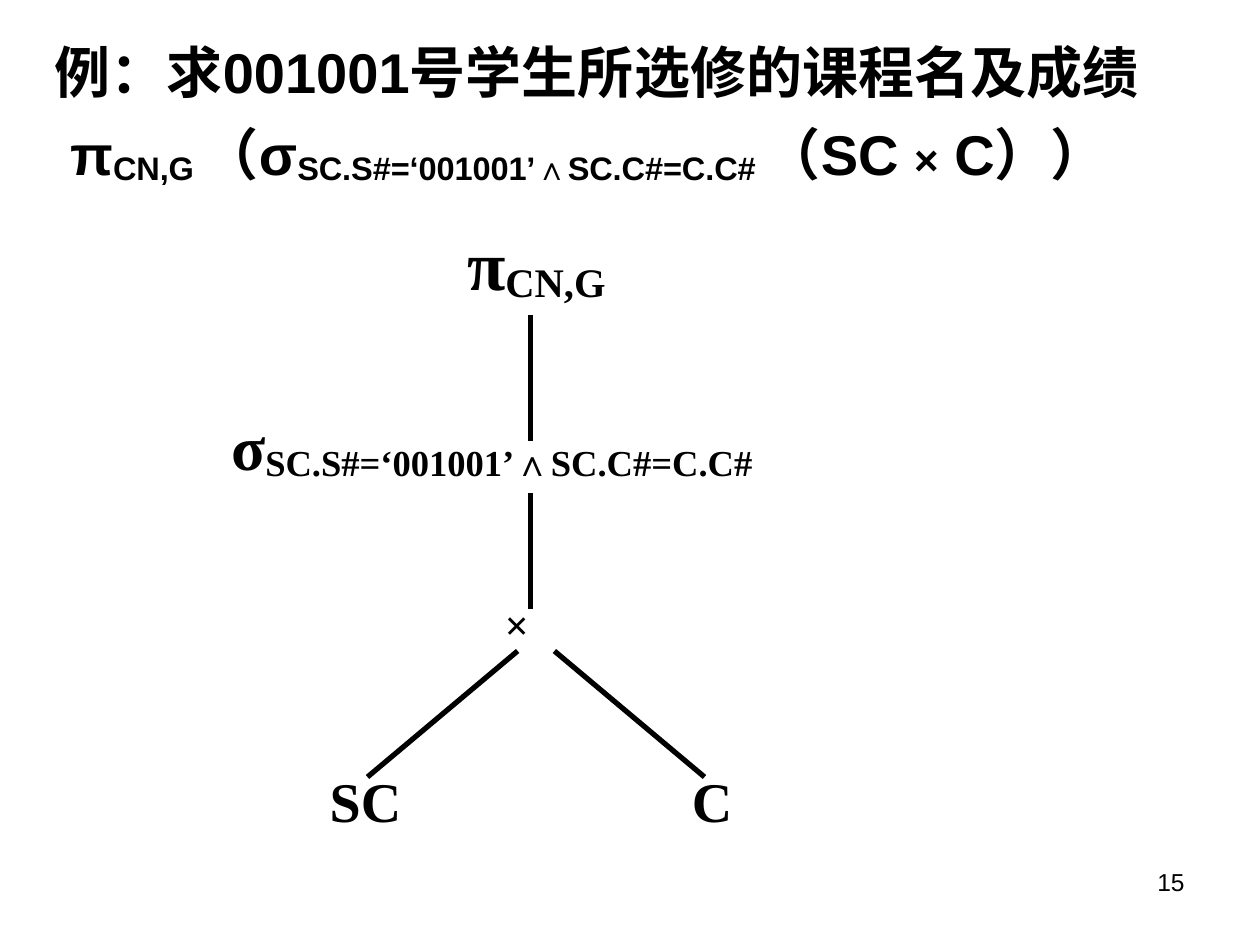
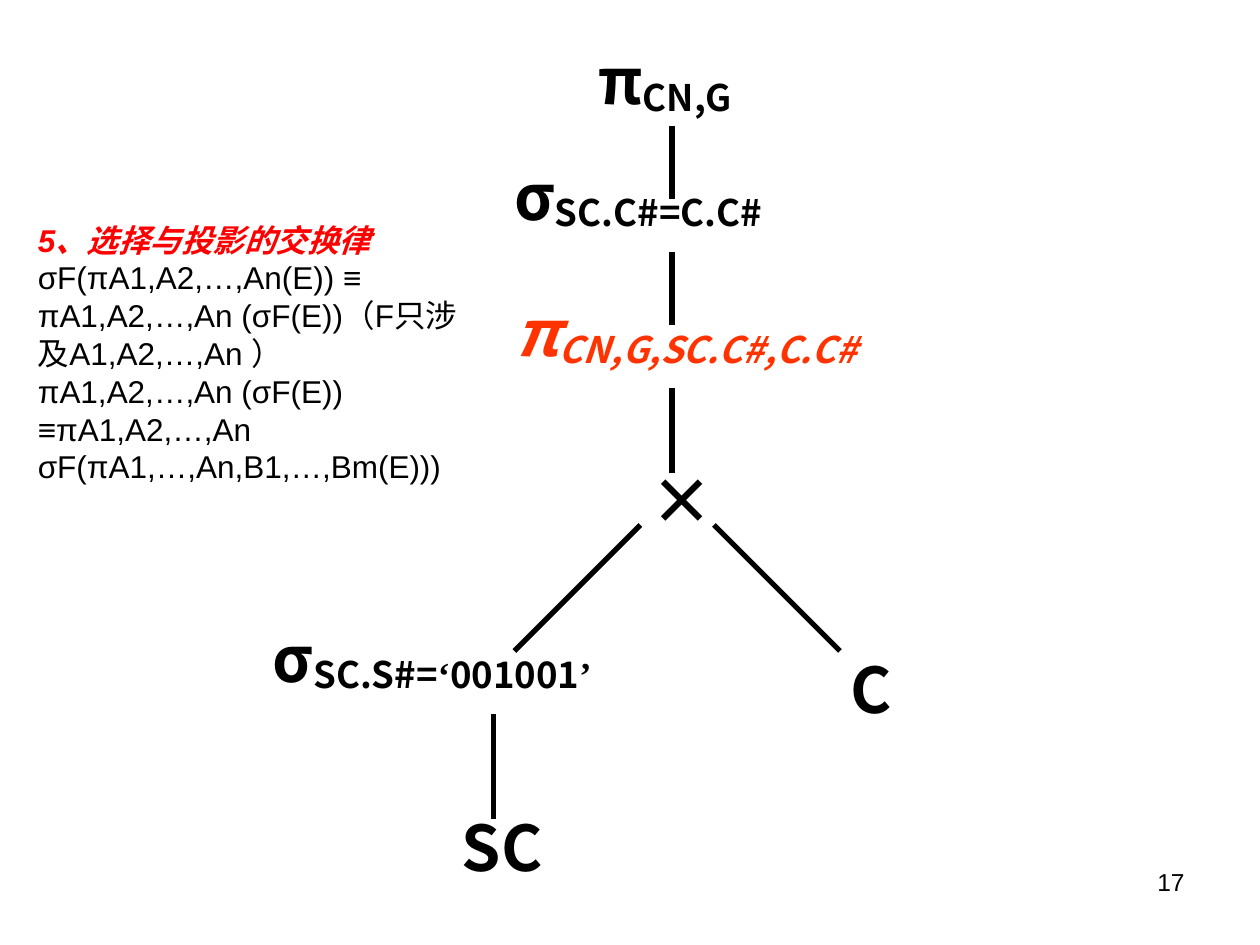
import pptx
import pptx.util
import pptx.dml.color
import pptx.enum.shapes
import pptx.enum.text
import pptx.oxml.ns
from lxml import etree

BLACK = pptx.dml.color.RGBColor(0x00, 0x00, 0x00)
RED = pptx.dml.color.RGBColor(0xFF, 0x00, 0x00)
ORANGE = pptx.dml.color.RGBColor(0xFF, 0x33, 0x00)

SANS, SERIF, CJK = "Arial", "Times New Roman", "Noto Sans CJK SC"
COLUMNS, ROWS = 120, 90
CELL = pptx.util.Inches(10) // COLUMNS
WIDTH, HEIGHT = CELL * COLUMNS, CELL * ROWS
LINE_ROWS_PER_POINT = 0.2
SUB = {"subscript": True}
TITLE_ONLY = 5


def cells(*counts):
    """Turn counts of grid cells into lengths."""
    return [pptx.util.Emu(round(count * CELL)) for count in counts]


def set_values(target, values):
    for key, value in values.items():
        setattr(target, key, value)


def add_span(para, text, style):
    """Add one run; style holds font values plus colour and subscript."""
    span = para.add_run()
    span.text = text
    font_values = {key: value for key, value in style.items()
                   if key not in ("colour", "subscript")}
    set_values(span.font, font_values)
    span.font.color.rgb = style.get("colour", BLACK)
    properties = span.font._element
    if style.get("subscript"):
        properties.set("baseline", "-10000")
    east_asian = etree.Element(pptx.oxml.ns.qn("a:ea"), typeface=CJK)
    properties.find(pptx.oxml.ns.qn("a:latin")).addnext(east_asian)


def fill_para(para, spans, style):
    for text, changes in spans:
        add_span(para, text, {**style, **changes})


def set_frame(box, inset_x=0, inset_y=0):
    set_values(box.text_frame, {
        "word_wrap": True,
        "auto_size": pptx.enum.text.MSO_AUTO_SIZE.NONE,
        "vertical_anchor": pptx.enum.text.MSO_ANCHOR.TOP,
        "margin_left": inset_x, "margin_right": inset_x,
        "margin_top": inset_y, "margin_bottom": inset_y})


def place_title(page, area, paragraphs, style, space=0, hanging=0):
    """Move the title placeholder to the area and write its paragraphs."""
    box = page.shapes.title
    set_values(box, dict(zip(("left", "top", "width", "height"), cells(*area))))
    set_frame(box, *cells(1.2, 0.6))
    for number, spans in enumerate(paragraphs):
        para = box.text_frame.add_paragraph() if number else box.text_frame.paragraphs[0]
        para.alignment = pptx.enum.text.PP_ALIGN.LEFT
        para.space_before = pptx.util.Pt(space if number else 0)
        if hanging:
            indent = cells(hanging)[0]
            para._p.get_or_add_pPr().set("marL", str(indent))
            para._p.get_or_add_pPr().set("indent", str(-indent))
        fill_para(para, spans, style)


def place_page_number(page, number):
    box = page.shapes.add_textbox(*cells(86, 82, 28, 6.25))
    set_frame(box, *cells(1.2, 0.6))
    para = box.text_frame.paragraphs[0]
    para.alignment = pptx.enum.text.PP_ALIGN.RIGHT
    fill_para(para, [(str(number), {})], {"name": SANS, "size": pptx.util.Pt(14)})


def draw_tree(page, origin, font_name, nodes, edges):
    """Draw an operator tree; nodes and edges are in cells from the origin."""
    left, top = origin
    tree = page.shapes.add_group_shape()
    for column, row, width, points, spans in nodes:
        box = tree.shapes.add_textbox(*cells(
            left + column, top + row, width, points * LINE_ROWS_PER_POINT))
        set_frame(box)
        fill_para(box.text_frame.paragraphs[0], spans, {
            "name": font_name, "size": pptx.util.Pt(points), "bold": True})
    for start_x, start_y, end_x, end_y in edges:
        edge = tree.shapes.add_connector(
            pptx.enum.shapes.MSO_CONNECTOR.STRAIGHT,
            *cells(left + start_x, top + start_y, left + end_x, top + end_y))
        edge.line.color.rgb = BLACK
        edge.line.width = pptx.util.Pt(3)
        etree.SubElement(edge._element.spPr, pptx.oxml.ns.qn("a:effectLst"))


def build_query_page(page):
    # Query and its relational algebra expression
    place_title(page, (4, 3, 111, 16), [
        [("例：求001001号学生所选修的课程名及成绩", {})],
        [(" π", {}), ("CN,G ", SUB), ("（σ", {}),
         ("SC.S#=‘001001’∧SC.C#=C.C# ", SUB), ("（SC ", {}),
         ("×", {"size": pptx.util.Pt(24)}), (" C））", {})],
    ], {"name": SANS, "size": pptx.util.Pt(32), "bold": True}, space=8, hanging=4.5)

    # Initial query tree
    trunk, label = 28.5, 21.4
    nodes = [
        (22.5, 0, label, 40, [("π", {}), ("CN,G", SUB)]),
        (0, 17.8, 70, 36, [("σ", {}), ("SC.S#=‘001001’∧SC.C#=C.C#", SUB)]),
        (9.4, 52, label, 32, [("SC", {})]),
        (43.9, 52, label, 32, [("C", {})]),
        (26.1, 36, label, 24, [("×", {})]),
    ]
    edges = [(trunk, start, trunk, end) for start, end in ((9, 21), (26, 37))]
    edges += [(27.3, 41, 13, 53), (30.8, 41, 45.1, 53)]
    draw_tree(page, (22, 21), SERIF, nodes, edges)


def build_exchange_page(page):
    # Rule for exchanging selection and projection
    place_title(page, (2.4, 20.4, 44.9, 26.4), [
        [("5、选择与投影的交换律", {"colour": RED, "bold": True, "italic": True})],
        [("σF(πA1,A2,…,An(E)) ≡ πA1,A2,…,An (σF(E))（F只涉及A1,A2,…,An ）", {})],
        [("πA1,A2,…,An (σF(E)) ≡πA1,A2,…,An σF(πA1,…,An,B1,…,Bm(E)))", {})],
    ], {"name": SANS, "size": pptx.util.Pt(18), "bold": False})

    # Tree with the added projection
    trunk, points = 38, 36
    added = {"colour": ORANGE, "italic": True}
    quote = {**SUB, "name": SERIF}
    labels = [
        (31, 0, 18, [("π", {}), ("CN,G", SUB)]),
        (23, 11, 33, [("σ", {}), ("SC.C#=C.C#", SUB)]),
        (18, 73, 10, [("SC", {})]),
        (55, 58, 9, [("C", {})]),
        (36, 40, 8, [("×", {})]),
        (0, 55, 43, [("σ", {}), ("SC.S#=", SUB), ("‘", quote),
                     ("001001", SUB), ("’", quote)]),
        (23, 24, 41, [("π", added), ("CN,G,SC.C#,C.C#", {**added, **SUB})]),
    ]
    nodes = [(column, row, width, points, spans)
             for column, row, width, spans in labels]
    edges = [(trunk, start, trunk, end) for start, end in ((8, 15), (20, 27), (33, 41))]
    edges += [(35, 46, 23, 58), (42, 46, 54, 58), (21, 64, 21, 74)]
    draw_tree(page, (26, 4), CJK, nodes, edges)


def main():
    deck = pptx.Presentation()
    deck.slide_width, deck.slide_height = WIDTH, HEIGHT
    for number, build in ((15, build_query_page), (17, build_exchange_page)):
        page = deck.slides.add_slide(deck.slide_layouts[TITLE_ONLY])
        place_page_number(page, number)
        build(page)
    deck.save("out.pptx")


if __name__ == "__main__":
    main()
